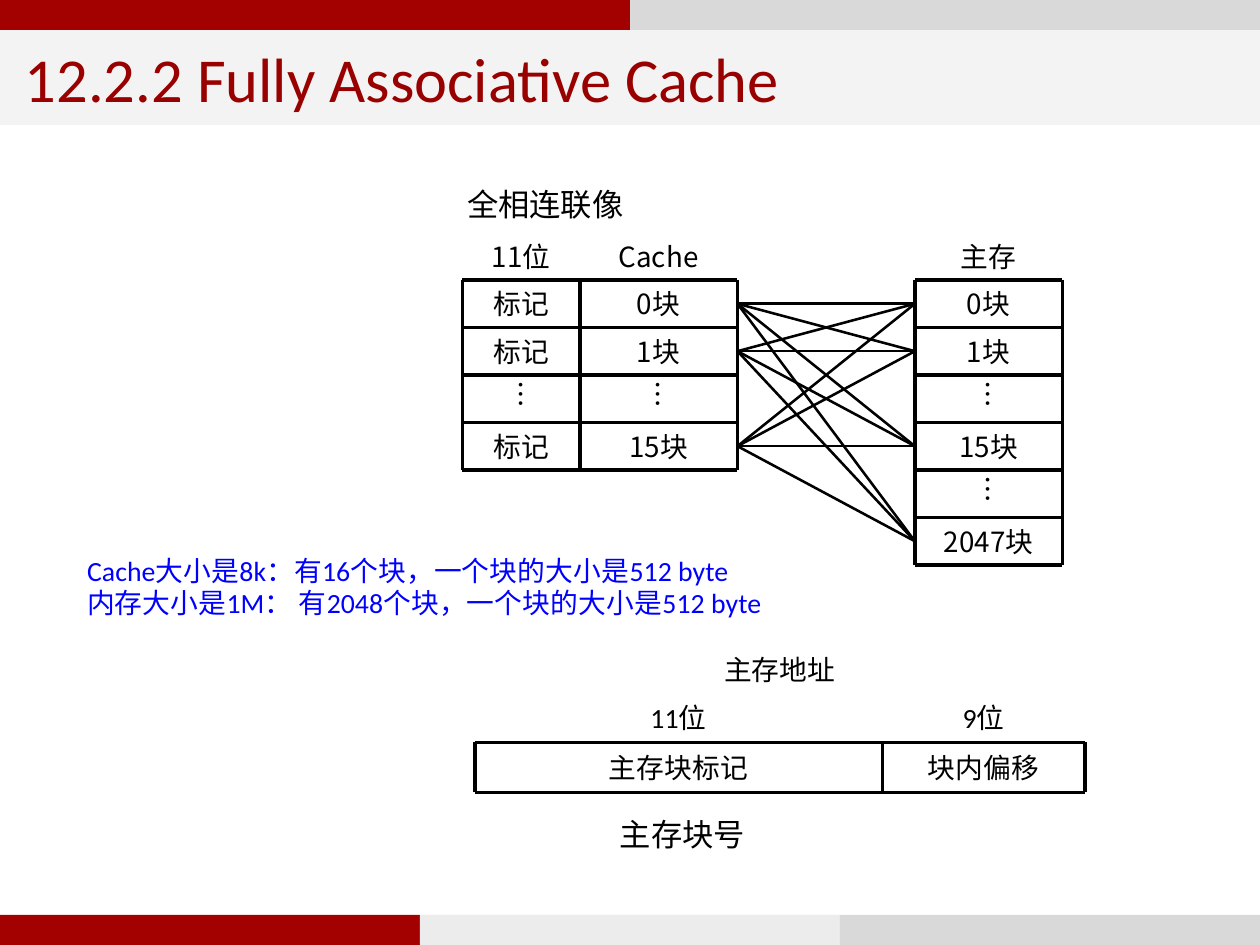
from itertools import accumulate, product

from lxml import etree
from pptx import Presentation
from pptx.dml.color import RGBColor
from pptx.enum import shapes, text
from pptx.oxml.ns import qn
from pptx.util import Inches, Pt

BLACK, BLUE, RED = "000000", "0000FF", "A30000"
LATIN, CJK = "Calibri", "Noto Sans CJK SC"
ROW = 0.19
LEFT, CENTER = text.PP_ALIGN.LEFT, text.PP_ALIGN.CENTER
LEFT_SIDE, RIGHT_SIDE = 1, 3


def color(value):
    return RGBColor.from_string(value)


def write(paragraph, words, size, font=LATIN, ink=BLACK, align=CENTER):
    paragraph.alignment = align
    run = paragraph.add_run()
    run.text = words
    run.font.size = Pt(size)
    run.font.name = font
    run.font.color.rgb = color(ink)
    etree.SubElement(run._r.get_or_add_rPr(), qn("a:ea"), typeface=CJK)


def add_label(slide, box, words, size, align=LEFT):
    frame = slide.shapes.add_textbox(*map(Inches, box)).text_frame
    frame.word_wrap = True
    write(frame.paragraphs[0], words, size, align=align)


def add_note(slide, box, lines):
    frame = slide.shapes.add_textbox(*map(Inches, box)).text_frame
    frame.word_wrap = True
    for index, words in enumerate(lines):
        paragraph = frame.add_paragraph() if index else frame.paragraphs[0]
        paragraph.line_spacing = 0.8
        paragraph.space_before = Pt(1.6 if index else 0)
        write(paragraph, words, 8, ink=BLUE, align=LEFT)


def add_strip(slide, box, fills):
    left, top, width, height = box
    part = width / len(fills)
    for index, fill in enumerate(fills):
        bar = slide.shapes.add_shape(
            shapes.MSO_SHAPE.RECTANGLE, Inches(left + index * part),
            Inches(top), Inches(part), Inches(height))
        bar.shadow.inherit = False
        bar.fill.solid()
        bar.fill.fore_color.rgb = color(fill)
        bar.line.fill.background()


def add_heading(slide, box, words):
    heading = slide.shapes.title
    heading.left, heading.top, heading.width, heading.height = map(Inches, box)
    heading.fill.solid()
    heading.fill.fore_color.rgb = color("F3F3F3")
    frame = heading.text_frame
    frame.auto_size = text.MSO_AUTO_SIZE.NONE
    frame.vertical_anchor = text.MSO_ANCHOR.MIDDLE
    frame.margin_top = frame.margin_bottom = 0
    write(frame.paragraphs[0], words, 18, ink="990000", align=LEFT)


def add_line(slide, start, end, weight):
    line = slide.shapes.add_connector(
        shapes.MSO_CONNECTOR.STRAIGHT, *map(Inches, (*start, *end)))
    line.line.color.rgb = color(BLACK)
    line.line.width = Pt(weight)
    etree.SubElement(line._element.spPr, qn("a:effectLst"))
    return line


def add_block(slide, box, words, font):
    block = slide.shapes.add_textbox(*map(Inches, box))
    frame = block.text_frame
    frame.word_wrap = True
    frame.vertical_anchor = text.MSO_ANCHOR.MIDDLE
    frame.margin_top = frame.margin_bottom = Inches(0.02)
    if words == "…":
        frame._txBody.bodyPr.set("vert", "eaVert")
    write(frame.paragraphs[0], words, 8, font)
    return block


def add_blocks(slide, left, top, widths, rows, font, pitch=ROW):
    xs = list(accumulate(widths, initial=left))
    ys = [top + pitch * index for index in range(len(rows) + 1)]
    blocks = [[add_block(slide, (x, y, width, pitch), words, font)
               for x, width, words in zip(xs, widths, row)]
              for y, row in zip(ys, rows)]
    for y in ys[1:]:
        add_line(slide, (xs[0], y), (xs[-1], y), 1)
    for x in xs:
        add_line(slide, (x, ys[1]), (x, ys[-1]), 1)
    return blocks


def add_links(slide, cache, memory):
    for cache_block, memory_block in product(cache, memory):
        link = add_line(slide, (0, 0), (1, 1), 0.75)
        link.begin_connect(memory_block, LEFT_SIDE)
        link.end_connect(cache_block, RIGHT_SIDE)


def add_mapping(slide, left, top):
    add_label(slide, (left - 0.08, top - 0.24, 0.94, 0.25), "全相连联像", 9)
    cache = add_blocks(slide, left, top, [0.47, 0.63], [
        ("11位", "Cache"), ("标记", "0块"), ("标记", "1块"),
        ("…", "…"), ("标记", "15块")], CJK)
    names = ["主存", "0块", "1块", "…", "15块", "…", "2047块"]
    memory = add_blocks(slide, left + 1.81, top, [0.59],
                        [(name,) for name in names], CJK)
    add_links(slide, [cache[row][-1] for row in (1, 2, 4)],
              [memory[row][0] for row in (1, 2, 4, 6)])


def add_address(slide, left, top):
    add_label(slide, (left, top - 0.21, 2.44, 0.25), "主存地址", 8, CENTER)
    add_blocks(slide, left, top, [1.63, 0.81],
               [("11位", "9位"), ("主存块标记", "块内偏移")], LATIN, 0.2)
    add_label(slide, (left + 0.08, top + 0.44, 1.5, 0.25), "主存块号", 9, CENTER)


def main():
    deck = Presentation()
    deck.slide_width, deck.slide_height = Inches(5.04), Inches(3.78)
    slide = deck.slides.add_slide(deck.slide_layouts[5])
    add_strip(slide, (0, 0, 5.04, 0.12), [RED, "D9D9D9"])
    add_heading(slide, (0, 0.12, 5.04, 0.38), "12.2.2 Fully Associative Cache")
    add_strip(slide, (0, 3.66, 5.04, 0.12), [RED, "ECECEC", "D9D9D9"])
    add_mapping(slide, 1.85, 0.93)
    add_address(slide, 1.9, 2.77)
    add_note(slide, (0.25, 2.19, 3.02, 0.38), [
        "Cache大小是8k：有16个块，一个块的大小是512 byte",
        "内存大小是1M： 有2048个块，一个块的大小是512 byte"])
    deck.save("out.pptx")


if __name__ == "__main__":
    main()
